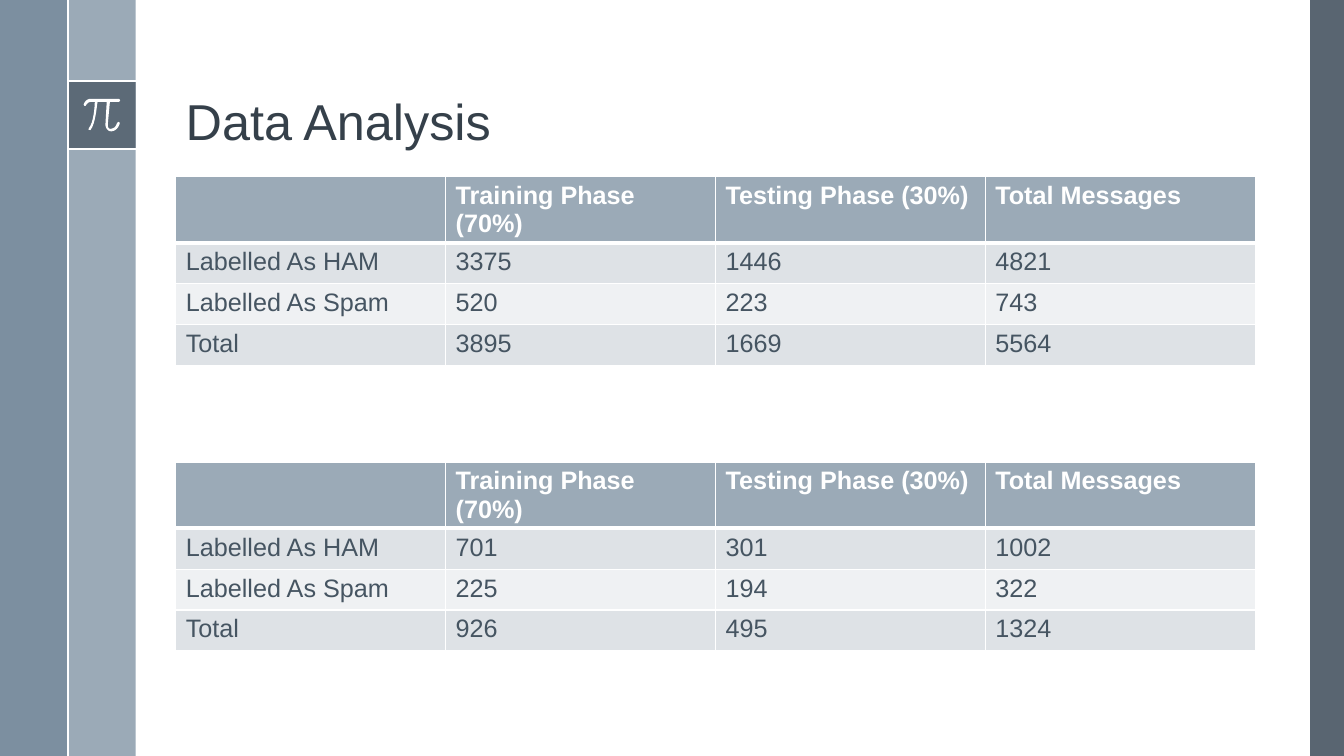
from dataclasses import dataclass

from lxml import etree
from pptx import Presentation
from pptx.dml.color import RGBColor
from pptx.enum.shapes import MSO_CONNECTOR, MSO_SHAPE
from pptx.enum.text import MSO_ANCHOR
from pptx.oxml.ns import qn
from pptx.util import Cm, Pt

RECT = MSO_SHAPE.RECTANGLE
LINE = MSO_CONNECTOR.STRAIGHT
LOW = MSO_ANCHOR.BOTTOM
FONT = "Arial"
COLORS = {
    "white": "FFFFFF", "slate": "475562", "steel": "6A8093", "mist": "9BAAB7",
    "title": "35404A", "text": "465562", "odd": "DEE2E6", "even": "EFF1F3",
}
WIDE, HIGH = 33.87, 19.05
BAR = 1.71
TILE = 2.04
LEFT, SPAN = 4.43, 27.2
HEAD, ROW = 1.64, 1.03
HEADER = ["", "Training Phase\v(70%)", "Testing Phase (30%)", "Total Messages"]


@dataclass
class Panel:
    left: float
    top: float
    width: float
    height: float
    color: str
    alpha: int = 100


@dataclass
class Rule:
    x1: float
    y1: float
    x2: float
    y2: float


@dataclass
class Grid:
    top: float
    rows: list


PANELS = [
    Panel(33.02, 0, WIDE - 33.02, HIGH, "slate", 90),
    Panel(BAR, 0, BAR, HIGH, "mist"),
    Panel(0, 0, BAR, HIGH, "steel", 88),
    Panel(BAR, TILE, BAR, BAR, "slate", 75),
]
RULES = [
    Rule(BAR, TILE, 2 * BAR, TILE),
    Rule(BAR, TILE + BAR, 2 * BAR, TILE + BAR),
    Rule(BAR, 0, BAR, HIGH),
]
GRIDS = [
    Grid(4.45, [
        ["Labelled As HAM", "3375", "1446", "4821"],
        ["Labelled As Spam", "520", "223", "743"],
        ["Total", "3895", "1669", "5564"],
    ]),
    Grid(11.64, [
        ["Labelled As HAM", "701", "301", "1002"],
        ["Labelled As Spam", "225", "194", "322"],
        ["Total", "926", "495", "1324"],
    ]),
]
# Outline of the pi sign in cm: one point is a straight step, three a cubic curve.
PI = [
    [(3.0, 2.49)], [(2.29, 2.49)],
    [(2.16, 2.49), (2.11, 2.62), (2.11, 2.64)], [(2.13, 2.67)], [(2.16, 2.67)],
    [(2.16, 2.67), (2.2, 2.57), (2.29, 2.57)], [(2.39, 2.57)],
    [(2.39, 2.67), (2.36, 3.1), (2.24, 3.23)], [(2.23, 3.27)], [(2.28, 3.28)],
    [(2.41, 3.12), (2.44, 2.67), (2.46, 2.57)], [(2.69, 2.57)], [(2.66, 3.1)],
    [(2.66, 3.1), (2.64, 3.2), (2.71, 3.27)],
    [(2.74, 3.3), (2.77, 3.31), (2.81, 3.31)],
    [(2.97, 3.3), (3.02, 3.12), (3.02, 3.1)], [(2.99, 3.07)], [(2.95, 3.1)],
    [(2.95, 3.1), (2.92, 3.23), (2.82, 3.24)],
    [(2.79, 3.25), (2.76, 3.25), (2.74, 3.23)],
    [(2.71, 3.2), (2.72, 3.12), (2.72, 3.1)], [(2.77, 2.57)], [(3.0, 2.57)],
    [(3.03, 2.53)],
]


def rgb(name: str) -> RGBColor:
    return RGBColor.from_string(COLORS[name])


def paint(shape, color: str, alpha: int = 100) -> None:
    """Give a flat fill without line or shadow."""
    shape.shadow.inherit = False
    shape.line.fill.background()
    shape.fill.solid()
    shape.fill.fore_color.rgb = rgb(color)
    if alpha < 100:
        tone = shape._element.spPr.find(".//" + qn("a:srgbClr"))
        etree.SubElement(tone, qn("a:alpha"), val=str(alpha * 1000))


def write(frame, text: str, *, size: int = 18, color: str = "text",
          bold: bool = False, space: float = 1.0) -> None:
    para = frame.paragraphs[0]
    para.text = text
    para.line_spacing = space
    para.font.size = Pt(size)
    for run in para.runs:
        run.font.name = FONT
        run.font.size = Pt(size)
        run.font.bold = bold
        run.font.color.rgb = rgb(color)


def add_rule(slide, rule: Rule) -> None:
    line = slide.shapes.add_connector(
        LINE, Cm(rule.x1), Cm(rule.y1), Cm(rule.x2), Cm(rule.y2))
    line.line.color.rgb = rgb("white")
    line.line.width = Pt(1.5)
    etree.SubElement(line._element.spPr, qn("a:effectLst"))


def add_pi(slide) -> None:
    here = PI[0][0]
    points = [here]
    for step in PI[1:]:
        if len(step) == 1:
            points.append(step[0])
        else:
            nodes = [here, *step]
            for i in range(1, 9):
                t = i / 8
                parts = ((1 - t) ** 3, 3 * t * (1 - t) ** 2, 3 * t * t * (1 - t), t ** 3)
                points.append(tuple(
                    sum(p * n[k] for p, n in zip(parts, nodes)) for k in (0, 1)))
        here = step[-1]
    # The builder rounds to whole units, so lengths go in as EMU.
    first, *rest = [(Cm(x), Cm(y)) for x, y in points]
    pen = slide.shapes.build_freeform(*first, scale=1.0)
    pen.add_line_segments(rest, close=True)
    paint(pen.convert_to_shape(), "white")


def edge(cell, sides: dict[str, float]) -> None:
    """Draw white borders, with widths in points by side."""
    props = cell._tc.get_or_add_tcPr()
    for side, width in sides.items():
        line = etree.SubElement(props, qn("a:ln" + side), w=str(Pt(width)))
        fill = etree.SubElement(line, qn("a:solidFill"))
        etree.SubElement(fill, qn("a:srgbClr"), val=COLORS["white"])


def add_grid(slide, grid: Grid) -> None:
    rows = [HEADER, *grid.rows]
    table = slide.shapes.add_table(
        len(rows), len(HEADER), Cm(LEFT), Cm(grid.top), Cm(SPAN),
        Cm(HEAD + ROW * len(grid.rows))).table
    for col in table.columns:
        col.width = Cm(SPAN / len(HEADER))
    for r, row in enumerate(rows):
        head = r == 0
        table.rows[r].height = Cm(HEAD if head else ROW)
        shade = "mist" if head else "odd" if r % 2 else "even"
        for c, text in enumerate(row):
            cell = table.cell(r, c)
            edge(cell, {"L": 1, "R": 1, "T": 3 if r == 1 else 1, "B": 3 if head else 1})
            cell.fill.solid()
            cell.fill.fore_color.rgb = rgb(shade)
            if head:
                cell.margin_bottom = Cm(0.02)
            write(cell.text_frame, text, color="white" if head else "text", bold=head)


def main() -> None:
    deck = Presentation()
    deck.slide_width, deck.slide_height = Cm(WIDE), Cm(HIGH)
    slide = deck.slides.add_slide(deck.slide_layouts[6])
    for panel in PANELS:
        shape = slide.shapes.add_shape(
            RECT, Cm(panel.left), Cm(panel.top), Cm(panel.width), Cm(panel.height))
        paint(shape, panel.color, panel.alpha)
    for rule in RULES:
        add_rule(slide, rule)
    add_pi(slide)
    title = slide.shapes.add_textbox(Cm(LEFT), Cm(0.48), Cm(SPAN), Cm(3.45)).text_frame
    title.word_wrap = True
    title.vertical_anchor = LOW
    write(title, "Data Analysis", size=36, color="title", space=0.9)
    for grid in GRIDS:
        add_grid(slide, grid)
    deck.save("out.pptx")


if __name__ == "__main__":
    main()
